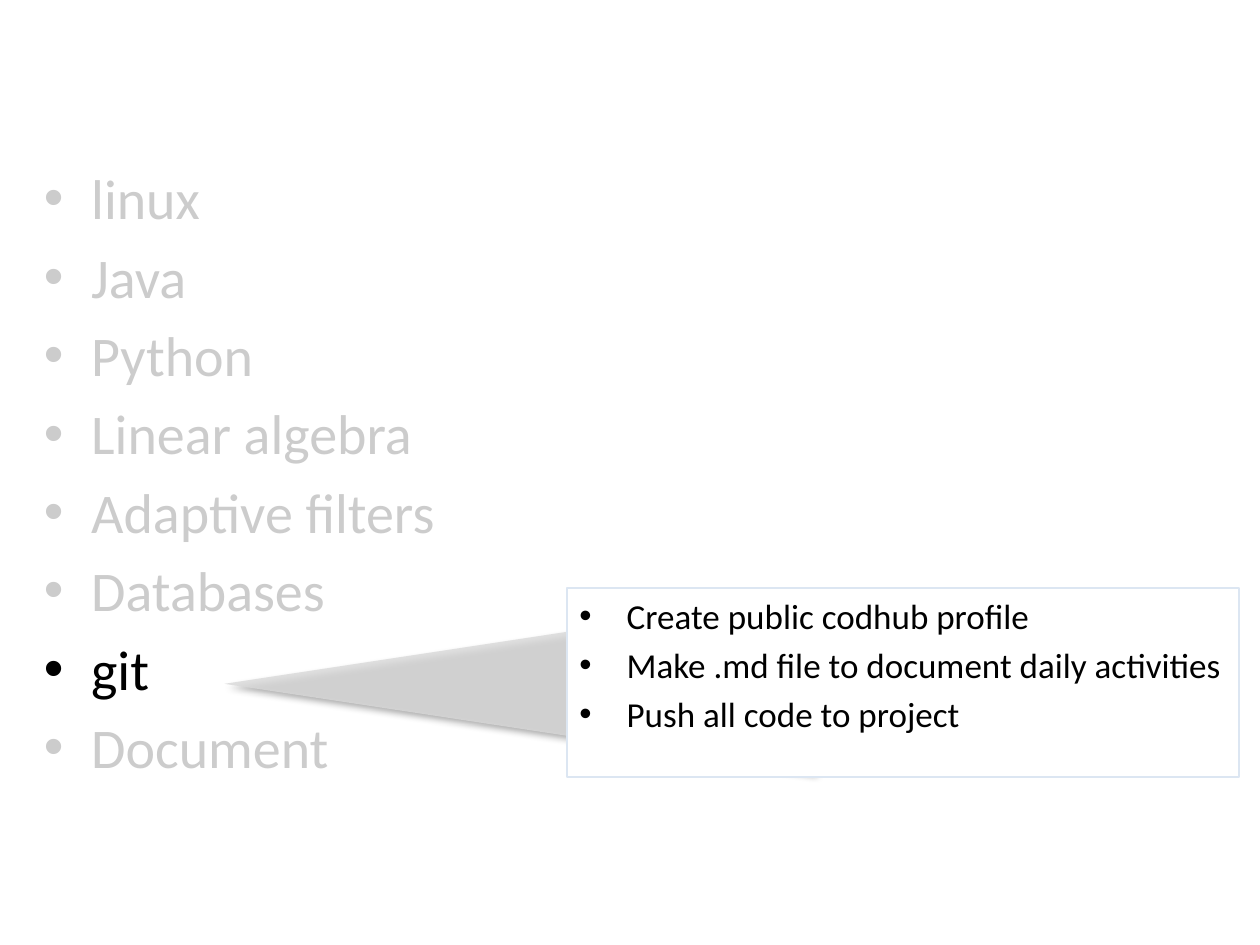
import dataclasses
import typing

import lxml.etree
import pptx
import pptx.dml.color
import pptx.enum.shapes
import pptx.enum.text
import pptx.oxml.ns
import pptx.util

SCALE = 9525
FONT = "Calibri"
INDENT = 36
KIND = pptx.enum.shapes.MSO_SHAPE

TOPICS = ["linux", "Java", "Python", "Linear algebra", "Adaptive filters",
          "Databases", "git", "Document"]
TASKS = ["Create public codhub profile",
         "Make .md file to document daily activities",
         "Push all code to project"]


@dataclasses.dataclass
class Box:
    left: int
    top: int
    width: int
    height: int

    def emu(self) -> list[int]:
        return [px(n) for n in dataclasses.astuple(self)]


@dataclasses.dataclass
class Panel:
    box: Box
    fill: str
    kind: typing.Any = KIND.RECTANGLE
    alpha: int = 100
    line: str = ""
    turn: int = 0


def px(count: int) -> int:
    return count * SCALE


def color(code: str) -> pptx.dml.color.RGBColor:
    return pptx.dml.color.RGBColor.from_string(code)


def add(parent: typing.Any, tag: str, **attrs: typing.Any) -> typing.Any:
    values = {key: str(value) for key, value in attrs.items()}
    return lxml.etree.SubElement(parent, pptx.oxml.ns.qn("a:" + tag), values)


def draw(slide: typing.Any, panel: Panel) -> typing.Any:
    shape = slide.shapes.add_shape(panel.kind, *panel.box.emu())
    shape.shadow.inherit = False
    shape.rotation = panel.turn
    shape.fill.solid()
    shape.fill.fore_color.rgb = color(panel.fill)
    if panel.alpha < 100:
        tint = shape.fill._xPr.find(".//" + pptx.oxml.ns.qn("a:srgbClr"))
        add(tint, "alpha", val=panel.alpha * 1000)
    if panel.line:
        shape.line.color.rgb = color(panel.line)
        shape.line.width = pptx.util.Pt(0.75)
    else:
        shape.line.fill.background()
    return shape


def shade(shape: typing.Any) -> None:
    effects = shape._element.spPr.find(pptx.oxml.ns.qn("a:effectLst"))
    outer = add(effects, "outerShdw", blurRad=pptx.util.Pt(4),
                dist=pptx.util.Pt(3), dir=45 * 60000, rotWithShape=0)
    add(add(outer, "srgbClr", val="000000"), "alpha", val=40000)


def write(shape: typing.Any, items: list[str], size: int) -> None:
    frame = shape.text_frame
    frame.word_wrap = True
    frame.vertical_anchor = pptx.enum.text.MSO_ANCHOR.TOP
    frame.text = "\n".join(items)
    for para in frame.paragraphs:
        para.alignment = pptx.enum.text.PP_ALIGN.LEFT
        props = para._p.get_or_add_pPr()
        props.set("marL", str(px(INDENT)))
        props.set("indent", str(-px(INDENT)))
        add(add(props, "spcBef"), "spcPct", val=20000)
        add(props, "buFont", typeface="Arial")
        add(props, "buChar", char="•")
        para.font.name = FONT
        para.font.size = pptx.util.Pt(size)
        para.font.color.rgb = color("000000")


def main() -> None:
    deck = pptx.Presentation()
    deck.slide_width = px(960)
    deck.slide_height = px(720)
    slide = deck.slides.add_slide(deck.slide_layouts[6])

    topics = slide.shapes.add_textbox(*Box(24, 120, 320, 552).emu())
    write(topics, TOPICS, 32)

    for veil in (Box(0, 544, 376, 80), Box(0, 120, 352, 368)):
        draw(slide, Panel(veil, "FFFFFF", alpha=80))

    beam = Panel(Box(327, 297, 136, 448), "D9D9D9",
                 KIND.ISOSCELES_TRIANGLE, alpha=80, turn=270)
    shade(draw(slide, beam))

    note = draw(slide, Panel(Box(432, 448, 512, 144), "FFFFFF", line="DCE6F2"))
    write(note, TASKS, 20)

    deck.save("out.pptx")


if __name__ == "__main__":
    main()
